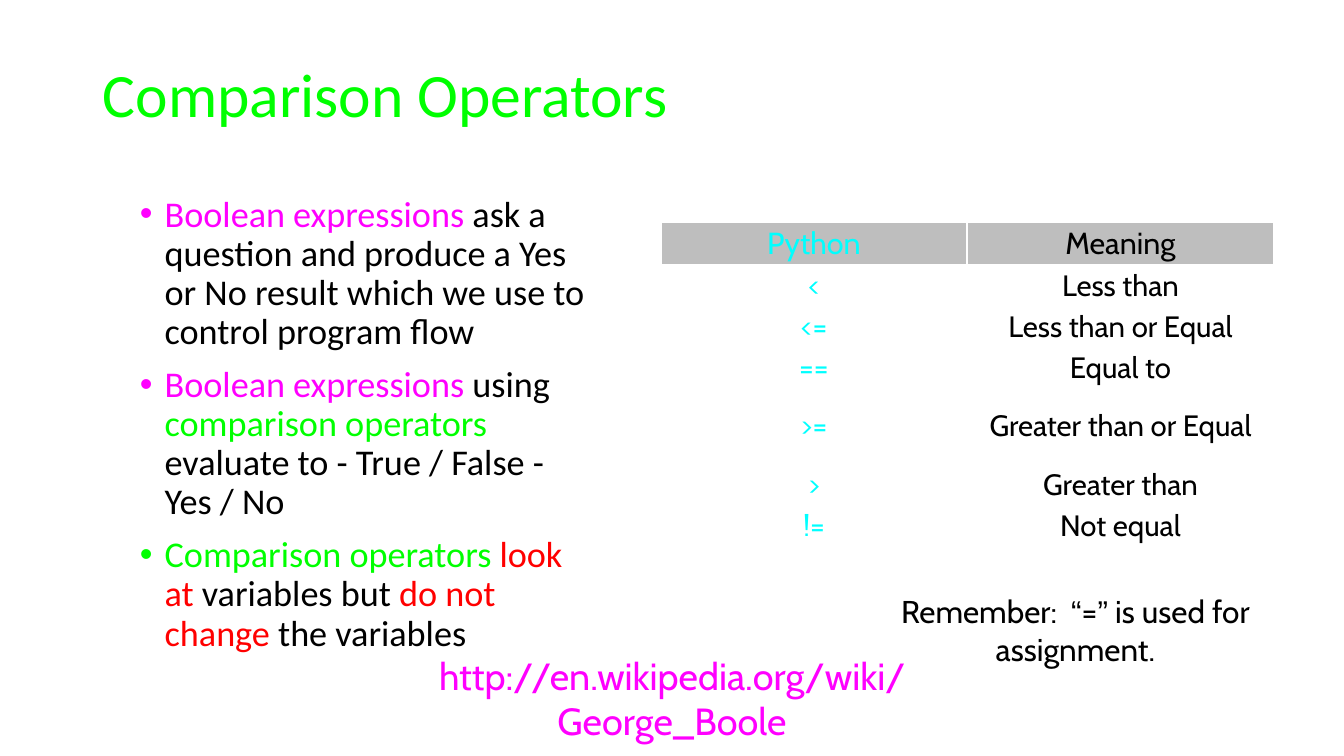
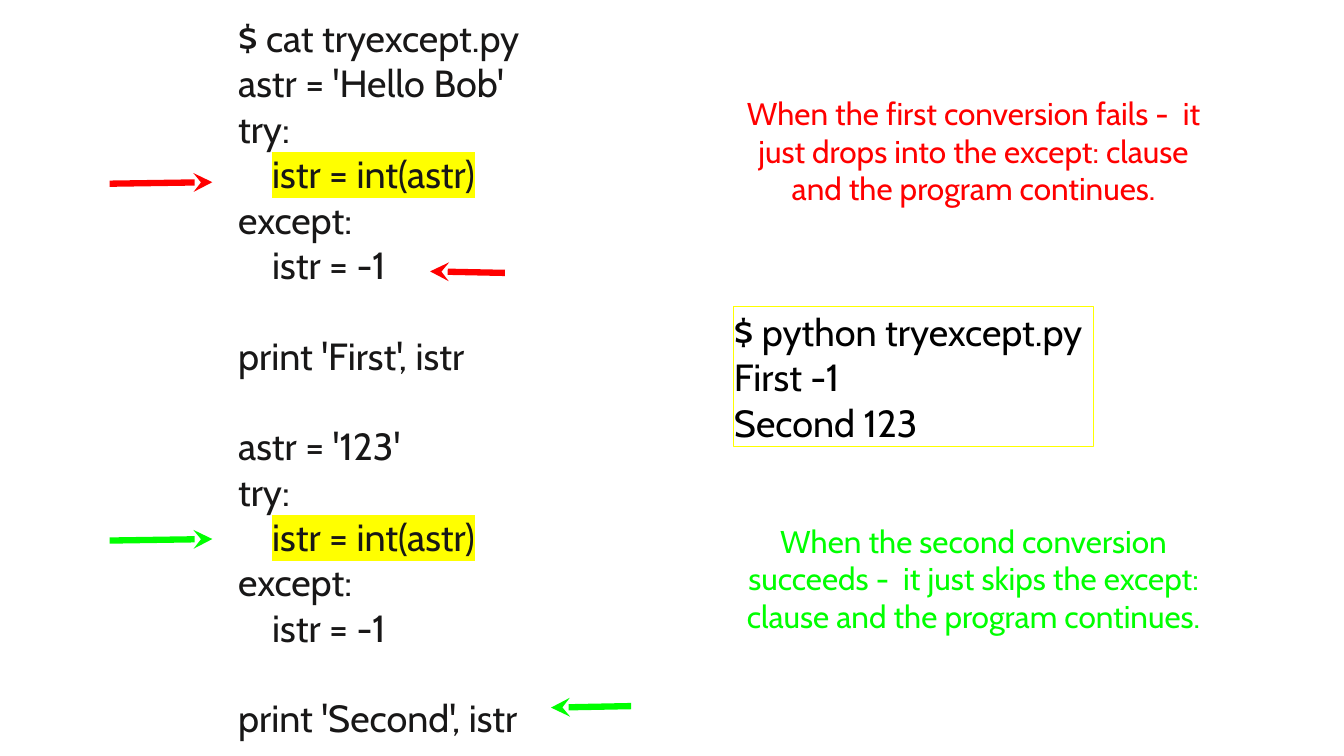
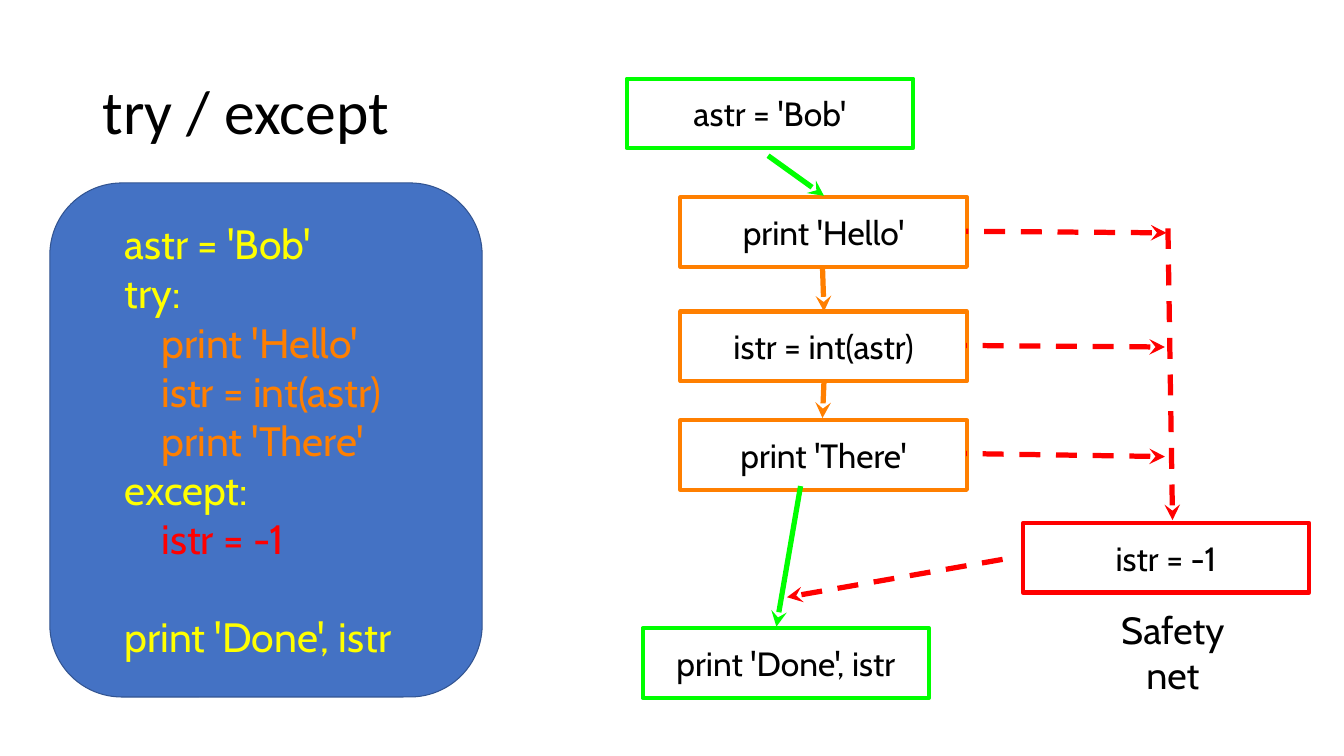
from dataclasses import dataclass

from lxml import etree
from pptx import Presentation
from pptx.dml.color import RGBColor
from pptx.enum.dml import MSO_LINE
from pptx.enum.shapes import MSO_CONNECTOR, MSO_SHAPE
from pptx.enum.text import MSO_ANCHOR, PP_ALIGN
from pptx.oxml.ns import qn
from pptx.util import Inches, Pt

LEFT, CENTER = PP_ALIGN.LEFT, PP_ALIGN.CENTER
TOP, MIDDLE = MSO_ANCHOR.TOP, MSO_ANCHOR.MIDDLE
RECT, ROUNDED = MSO_SHAPE.RECTANGLE, MSO_SHAPE.ROUNDED_RECTANGLE
STRAIGHT, DASH = MSO_CONNECTOR.STRAIGHT, MSO_LINE.DASH


@dataclass(frozen=True)
class Theme:
    black: str = "000000"
    white: str = "FFFFFF"
    ink: str = "181717"
    green: str = "00FF00"
    red: str = "FF0000"
    magenta: str = "FF00FF"
    cyan: str = "00FFFF"
    yellow: str = "FFFF00"
    orange: str = "FF7F00"
    grey: str = "7F7F7F"
    panel: str = "4472C4"
    panel_edge: str = "325491"
    heading_font: str = "Calibri"
    font: str = "Cabin"
    quote_font: str = "Arial"
    title: float = 58.7
    bullet: float = 34.5
    code: float = 36
    panel_code: float = 39
    step: float = 32
    note: float = 30
    table_head: float = 29
    table_body: float = 28


T = Theme()


@dataclass(frozen=True)
class Box:
    """A region in inches; what it holds is given in percent of it."""
    left: float
    top: float
    width: float
    height: float

    def point(self, x, y):
        return self.left + self.width * x / 100, self.top + self.height * y / 100

    def area(self, x, y, w, h):
        return Box(*self.point(x, y), self.width * w / 100, self.height * h / 100)

    def emu(self):
        return [Inches(v) for v in (self.left, self.top, self.width, self.height)]


PAGE = Box(0, 0, 17.78, 10)


def rgb(color):
    return RGBColor.from_string(color)


# Text: a paragraph is a list of runs (text, colour, optional font or highlight)
def add_run(paragraph, text, color, size, font, highlight=None):
    run = paragraph.add_run()
    run.text = text
    run.font.size, run.font.name = Pt(size), font
    run.font.color.rgb = rgb(color)
    if highlight:
        mark = etree.Element(qn("a:highlight"))
        etree.SubElement(mark, qn("a:srgbClr"), val=highlight)
        run._r.rPr.find(qn("a:solidFill")).addnext(mark)


def write(frame, paragraphs, size, font=T.font, align=LEFT, anchor=MIDDLE, insets=(0, 0)):
    frame.word_wrap = True
    frame.vertical_anchor = anchor
    frame.margin_left = frame.margin_right = Inches(insets[0])
    frame.margin_top = frame.margin_bottom = Inches(insets[1])
    for i, runs in enumerate(paragraphs):
        paragraph = frame.add_paragraph() if i else frame.paragraphs[0]
        paragraph.alignment = align
        for text, color, *extra in runs:
            style = {"font": font, **(extra[0] if extra else {})}
            add_run(paragraph, text, color, size, **style)
        if not runs:  # an empty line of code keeps its height
            end = etree.SubElement(paragraph._p, qn("a:endParaRPr"), sz=str(size * 100))
            etree.SubElement(end, qn("a:latin"), typeface=font)


def add_text(slide, box, paragraphs, size, **style):
    frame = slide.shapes.add_textbox(*box.emu()).text_frame
    write(frame, paragraphs, size, **style)
    return frame


def add_title(slide, box, text, color):
    frame = add_text(slide, box, [[(text, color)]], T.title,
                     font=T.heading_font, insets=(0.1, 0.05))
    frame.paragraphs[0].line_spacing = 0.9


def code_lines(code, color):
    return [[(line, color)] if line else [] for line in code.split("\n")]


def add_panel(slide, box, kind=RECT, fill=None, edge=None, weight=1):
    panel = slide.shapes.add_shape(kind, *box.emu())
    panel.shadow.inherit = False
    if fill:
        panel.fill.solid()
        panel.fill.fore_color.rgb = rgb(fill)
    else:
        panel.fill.background()
    if edge:
        panel.line.color.rgb = rgb(edge)
        panel.line.width = Pt(weight)
    else:
        panel.line.fill.background()
    return panel.text_frame


def add_arrow(slide, box, tip, tail, color, weight, dashed=False):
    ends = [Inches(v) for v in (*box.point(*tip), *box.point(*tail))]
    arrow = slide.shapes.add_connector(STRAIGHT, *ends)
    arrow.line.color.rgb = rgb(color)
    arrow.line.width = Pt(weight)
    if dashed:
        arrow.line.dash_style = DASH
    properties = arrow._element.spPr
    etree.SubElement(properties.find(qn("a:ln")), qn("a:headEnd"), type="stealth")
    etree.SubElement(properties, qn("a:effectLst"))


# Comparison operators
def add_bullets(slide, box):
    bullets = [
        [("Boolean expressions", T.magenta),
         (" ask a question and produce a Yes or No result which we use to "
          "control program flow", T.black)],
        [("Boolean expressions", T.magenta), (" using ", T.black),
         ("comparison operators ", T.green),
         ("evaluate to - True / False - Yes / No", T.black)],
        [("Comparison operators ", T.green), ("look at", T.red),
         (" variables but ", T.black), ("do not change", T.red),
         (" the variables", T.black)],
    ]
    frame = add_text(slide, box, bullets, T.bullet, font=T.heading_font,
                     anchor=TOP, insets=(0.1, 0.05))
    for i, paragraph in enumerate(frame.paragraphs):
        properties = paragraph._p.get_or_add_pPr()
        properties.set("marL", str(Inches(0.82)))
        properties.set("indent", str(Inches(-0.33)))
        etree.SubElement(properties, qn("a:buFont"), typeface="Arial")
        etree.SubElement(properties, qn("a:buChar"), char="•")
        paragraph.line_spacing = 0.9
        if i:
            paragraph.space_before = Pt(13.3)


def style_cell(cell, is_head):
    if is_head:
        cell.fill.solid()
        cell.fill.fore_color.rgb = rgb(T.grey)
        shade = cell._tc.tcPr.find(qn("a:solidFill"))[0]
        etree.SubElement(shade, qn("a:alpha"), val="50000")
    else:
        cell.fill.background()
    for i, side in enumerate(("lnL", "lnR", "lnT", "lnB")):
        border = etree.Element(qn("a:" + side), w=str(Pt(2)))
        paint = etree.SubElement(border, qn("a:solidFill"))
        etree.SubElement(paint, qn("a:srgbClr"), val=T.white)
        cell._tc.tcPr.insert(i, border)


def add_operator_table(slide, box):
    operators = [("Python", "Meaning"), ("<", "Less than"),
                 ("<=", "Less than or Equal"), ("==", "Equal to"),
                 (">=", "Greater than or Equal"), (">", "Greater than"),
                 ("!=", "Not equal")]
    heights = [0.56, 0.54, 0.54, 0.54, 0.99, 0.54, 0.54]
    table = slide.shapes.add_table(len(operators), 2, *box.emu()).table
    table.first_row = table.horz_banding = False
    for r, (pair, height) in enumerate(zip(operators, heights)):
        table.rows[r].height = Inches(height)
        for c, (text, color) in enumerate(zip(pair, (T.cyan, T.black))):
            cell = table.cell(r, c)
            size = T.table_body if r else T.table_head
            write(cell.text_frame, [[(text, color)]], size, align=CENTER)
            cell.vertical_anchor = MIDDLE
            cell.margin_left = cell.margin_right = Inches(0.04)
            cell.margin_top = cell.margin_bottom = Inches(0.04)
            style_cell(cell, r == 0)


def comparison_slide(slide, page):
    add_title(slide, page.area(7.09, 2.6, 85.71, 20.7), "Comparison Operators", T.green)
    add_bullets(slide, page.area(7.09, 25.4, 38.02, 62.4))
    add_text(slide, page.area(25.48, 88.9, 49.04, 6.8),
             [[("http://en.wikipedia.org/wiki/George_Boole", T.magenta)]],
             T.code, align=CENTER)
    quote = {"font": T.quote_font}
    reminder = [("Remember:  ", T.black), ("“", T.black, quote), ("=", T.black),
                ("”", T.black, quote), (" is used for assignment.", T.black)]
    add_text(slide, page.area(60.97, 80.3, 38.08, 6), [reminder], T.note, align=CENTER)
    add_operator_table(slide, page.area(49.16, 29.4, 45.61, 42.6))


# Walk through two conversions
def add_listing(slide, box):
    conversion = "istr = int(astr)"
    attempt = f"try:\n    {conversion}\nexcept:\n    istr = -1\n\n"
    lines = code_lines("$ cat tryexcept.py\nastr = 'Hello Bob'\n" + attempt
                       + "print 'First', istr\n\nastr = '123'\n" + attempt
                       + "print 'Second', istr", T.ink)
    marked = [("    ", T.ink), (conversion, T.ink, {"highlight": T.yellow})]
    lines = [marked if line and conversion in line[0][0] else line for line in lines]
    write(add_panel(slide, box, fill=T.white), lines, T.code)


def walkthrough_slide(slide, page):
    add_listing(slide, page.area(17.72, 1.5, 21.09, 96.9))
    output = add_panel(slide, page.area(54.61, 40.6, 26.72, 18.5), edge=T.yellow)
    write(output, code_lines("$ python tryexcept.py\nFirst -1\nSecond 123", T.black), T.code)
    notes = [
        (12.4, T.red, "When the first conversion fails -  it just drops into the "
                      "except: clause and the program continues."),
        (69, T.green, "When the second conversion succeeds -  it just skips the "
                      "except: clause and the program continues."),
    ]
    for y, color, text in notes:
        add_text(slide, page.area(54.33, y, 36.22, 15.7), [[(text, color)]],
                 T.note, align=CENTER, anchor=TOP)
    pointers = [((15.8, 24.1), (8.16, 24.3), T.red), ((32, 35.9), (37.57, 36.1), T.red),
                ((15.8, 71.3), (8.16, 71.5), T.green),
                ((41, 93.6), (46.96, 93.4), T.green)]
    for tip, tail, color in pointers:
        add_arrow(slide, page, tip, tail, color, 6)


# Flow of try / except
def add_code_panel(slide, box):
    add_panel(slide, box, ROUNDED, T.panel, T.panel_edge)
    lines = (code_lines("astr = 'Bob'\ntry:", T.yellow)
             + code_lines("    print 'Hello'\n    istr = int(astr)\n    print 'There'", T.orange)
             + code_lines("except:", T.yellow) + code_lines("    istr = -1", T.red)
             + code_lines("\nprint 'Done', istr", T.yellow))
    add_text(slide, box.area(17.31, 7.79, 66.78, 84.41), lines, T.panel_code)


def add_flow(slide, box):
    steps = [(0, 0, "astr = 'Bob'", T.green), (7.86, 19.17, "print 'Hello'", T.orange),
             (7.86, 37.61, "istr = int(astr)", T.orange),
             (7.86, 55.19, "print 'There'", T.orange),
             (2.33, 88.77, "print 'Done', istr", T.green),
             (58.03, 71.79, "istr = -1", T.red)]
    for x, y, text, color in steps:
        step = add_panel(slide, box.area(x, y, 41.97, 11.23), edge=color, weight=4)
        write(step, [[(text, T.black)]], T.step, align=CENTER)
    # Normal course is solid, jumps to and from the safety net are dashed
    arrows = [((28.9, 18.93), (20.71, 12.45), T.green),
              ((28.9, 37.61), (28.68, 30.4), T.orange),
              ((28.68, 54.82), (28.9, 48.96), T.orange),
              ((21.93, 88.52), (25.47, 65.81), T.green),
              ((79.07, 24.91), (49.72, 24.66), T.red),
              ((78.85, 43.35), (49.72, 43.1), T.red),
              ((78.85, 61.05), (49.72, 60.56), T.red),
              ((79.96, 71.31), (79.29, 24.18), T.red),
              ((23.48, 83.76), (56.92, 77.29), T.red)]
    for tip, tail, color in arrows:
        add_arrow(slide, box, tip, tail, color, 5, dashed=color == T.red)
    add_text(slide, box.area(68.33, 88.4, 23.37, 8.3), [[("Safety net", T.black)]],
             T.code, align=CENTER)


def flow_slide(slide, page):
    add_code_panel(slide, page.area(3.71, 24.2, 32.17, 68))
    add_title(slide, page.area(7.09, 2.6, 35.49, 25.1), "try / except", T.black)
    add_flow(slide, page.area(46.63, 10.4, 50.79, 81.9))


def main():
    deck = Presentation()
    deck.slide_width, deck.slide_height = Inches(PAGE.width), Inches(PAGE.height)
    blank = deck.slide_layouts[6]
    for build in (comparison_slide, walkthrough_slide, flow_slide):
        build(deck.slides.add_slide(blank), PAGE)
    deck.save("out.pptx")


if __name__ == "__main__":
    main()
